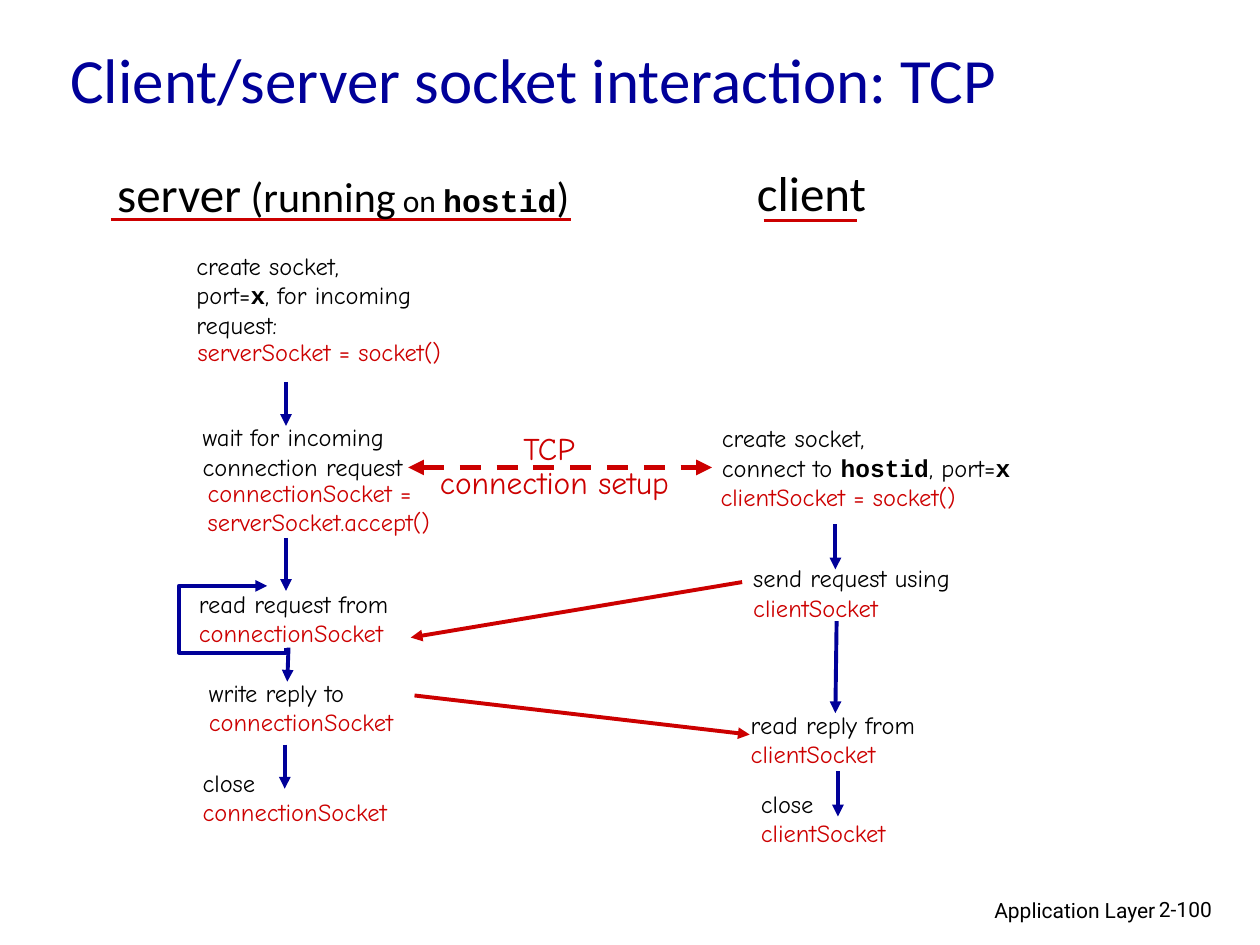
from lxml import etree
from pptx import Presentation
from pptx import util as u
from pptx.dml.color import RGBColor
from pptx.enum import dml, shapes, text
from pptx.oxml.ns import qn

NAVY, RED, BLACK = "000099", "CC0000", "000000"
LEFT, CENTER, RIGHT = text.PP_ALIGN.LEFT, text.PP_ALIGN.CENTER, text.PP_ALIGN.RIGHT
TOP, MIDDLE = text.MSO_ANCHOR.TOP, text.MSO_ANCHOR.MIDDLE

# Run styles: font, size, colour, bold
STEP = ("Comic Neue", 14, BLACK, False)
CALL = ("Comic Neue", 14, RED, False)
CODE = ("Courier New", 14, BLACK, True)
SETUP = ("Comic Neue", 18, RED, False)
TITLE = ("Calibri", 36, NAVY, False)
HEADING = ("Calibri", 28, BLACK, False)
HEADING_MEDIUM = ("Calibri", 24, BLACK, False)
HEADING_SMALL = ("Calibri", 18, BLACK, False)
HEADING_CODE = ("Courier New", 18, BLACK, True)
FOOTER = ("Roboto", 12, BLACK, False)

# Framing text: box (left, top, width, height), paragraphs of runs, options
FRAMING_TEXTS = [
    ((6.1, 7.07, 3.17, 0.31), [[("Application Layer", FOOTER)]],
     dict(align=RIGHT, anchor=TOP, wrap=True)),
    ((9.1, 7.07, 0.74, 0.3), [[("2-100", FOOTER)]], dict(anchor=TOP, wrap=True)),
    ((0.46, 0.1, 8.5, 1.04), [[("Client/server socket interaction: TCP", TITLE)]],
     dict(wrap=True)),
    ((0.61, 1.25, 4.23, 0.57),
     [[("server", HEADING), (" (running", HEADING_MEDIUM), (" on ", HEADING_SMALL),
       ("hostid", HEADING_CODE), (")", HEADING_MEDIUM)]],
     dict(align=CENTER, before=15)),
    ((5.85, 1.24, 1.18, 0.57), [[("client", HEADING)]], dict(align=CENTER, before=17.5)),
    ((3.39, 3.39, 2.02, 0.64), [[("TCP ", SETUP)], [("connection setup", SETUP)]],
     dict(align=CENTER, spacing=0.9)),
]

# Steps of the two programs, top to bottom
SERVER_STEPS = [
    ((1.46, 1.94, 2.11, 0.8),
     [[("create socket,", STEP)],
      [("port=", STEP), ("x", CODE), (", for incoming request:", STEP)]], dict(wrap=True)),
    ((1.47, 2.62, 2.57, 0.34), [[("serverSocket = socket()", CALL)]],
     dict(wrap=True, before=3.5)),
    ((1.51, 3.3, 1.79, 0.57),
     [[("wait for incoming", STEP)], [("connection request", STEP)]], {}),
    ((1.55, 3.74, 1.97, 0.57),
     [[("connectionSocket =", CALL)], [("serverSocket.accept()", CALL)]], {}),
    ((1.48, 4.62, 1.71, 0.57),
     [[("read request from", STEP)], [("connectionSocket", CALL)]], {}),
    ((1.56, 5.33, 1.67, 0.57),
     [[("write reply to", STEP)], [("connectionSocket", CALL)]], {}),
    ((1.51, 6.04, 1.67, 0.57),
     [[("close", STEP)], [("connectionSocket", CALL)]], {}),
]
CLIENT_STEPS = [
    ((5.63, 3.31, 2.49, 0.57),
     [[("create socket,", STEP)],
      [("connect to ", STEP), ("hostid", CODE), (", port=", STEP), ("x", CODE)]], {}),
    ((5.62, 3.77, 2.58, 0.34), [[("clientSocket = socket()", CALL)]], dict(wrap=True)),
    ((5.88, 4.42, 1.76, 0.57),
     [[("send request using", STEP)], [("clientSocket", CALL)]], {}),
    ((5.86, 5.58, 1.51, 0.57),
     [[("read reply from", STEP)], [("clientSocket", CALL)]], {}),
    ((5.94, 6.21, 1.19, 0.57),
     [[("close", STEP)], [("clientSocket", CALL)]], {}),
]

# Lines as (x1, y1, x2, y2)
UNDERLINES = [(0.88, 1.74, 4.53, 1.74), (6.06, 1.75, 6.8, 1.75)]
FLOW_ARROWS = [
    (2.27, 3.03, 2.27, 3.38), (2.27, 4.27, 2.27, 4.69),
    (2.29, 5.14, 2.28, 5.41), (2.26, 5.91, 2.26, 6.26),
    (6.63, 4.16, 6.63, 4.52), (6.64, 4.93, 6.63, 5.66), (6.65, 6.12, 6.65, 6.48),
]
MESSAGE_ARROWS = [(5.89, 4.62, 3.26, 5.06), (3.29, 5.52, 5.95, 5.83)]
SETUP_ARROW = (3.24, 3.71, 5.65, 3.71)
READ_LOOP = [(2.27, 5.14), (2.27, 5.18), (1.42, 5.18), (1.42, 4.65), (2.12, 4.65)]


def color(value):
    return RGBColor.from_string(value)


def add_text(slide, box, paragraphs, align=LEFT, anchor=MIDDLE, wrap=False,
             before=0, spacing=None):
    frame = slide.shapes.add_textbox(*map(u.Inches, box)).text_frame
    frame.word_wrap = wrap
    frame.vertical_anchor = anchor
    for index, runs in enumerate(paragraphs):
        paragraph = frame.add_paragraph() if index else frame.paragraphs[0]
        paragraph.alignment = align
        paragraph.space_before = u.Pt(before)
        paragraph.line_spacing = spacing
        for words, (font, size, fill, bold) in runs:
            run = paragraph.add_run()
            run.text = words
            run.font.name = font
            run.font.size = u.Pt(size)
            run.font.color.rgb = color(fill)
            run.font.bold = bold


def style_line(shape, line_color, width, ends=()):
    shape.line.color.rgb = color(line_color)
    shape.line.width = u.Pt(width)
    outline = shape.line._get_or_add_ln()
    for end in ends:  # headEnd comes before tailEnd
        etree.SubElement(outline, qn(f"a:{end}")).set("type", "triangle")


def add_line(slide, points, line_color, width, ends=(), dash=None):
    connector = slide.shapes.add_connector(
        shapes.MSO_CONNECTOR.STRAIGHT, *map(u.Inches, points))
    if dash:
        connector.line.dash_style = dash
    style_line(connector, line_color, width, ends)
    etree.SubElement(connector._element.spPr, qn("a:effectLst"))


def add_loop(slide, points):
    start, *rest = [(u.Inches(x), u.Inches(y)) for x, y in points]
    builder = slide.shapes.build_freeform(*start)
    builder.add_line_segments(rest, close=False)
    loop = builder.convert_to_shape()
    loop.fill.background()
    style_line(loop, NAVY, 2.25, ["tailEnd"])
    loop.shadow.inherit = False


def main():
    presentation = Presentation()
    presentation.slide_width, presentation.slide_height = u.Inches(10), u.Inches(7.5)
    slide = presentation.slides.add_slide(presentation.slide_layouts[6])

    # Lines and arrows
    for points in UNDERLINES:
        add_line(slide, points, RED, 1.5)
    for points in FLOW_ARROWS:
        add_line(slide, points, NAVY, 2.25, ["tailEnd"])
    for points in MESSAGE_ARROWS:
        add_line(slide, points, RED, 2.25, ["tailEnd"])
    add_line(slide, SETUP_ARROW, RED, 3, ["headEnd", "tailEnd"], dml.MSO_LINE.DASH)
    add_loop(slide, READ_LOOP)

    # Text
    for box, paragraphs, options in FRAMING_TEXTS + SERVER_STEPS + CLIENT_STEPS:
        add_text(slide, box, paragraphs, **options)

    presentation.save("out.pptx")


if __name__ == "__main__":
    main()
